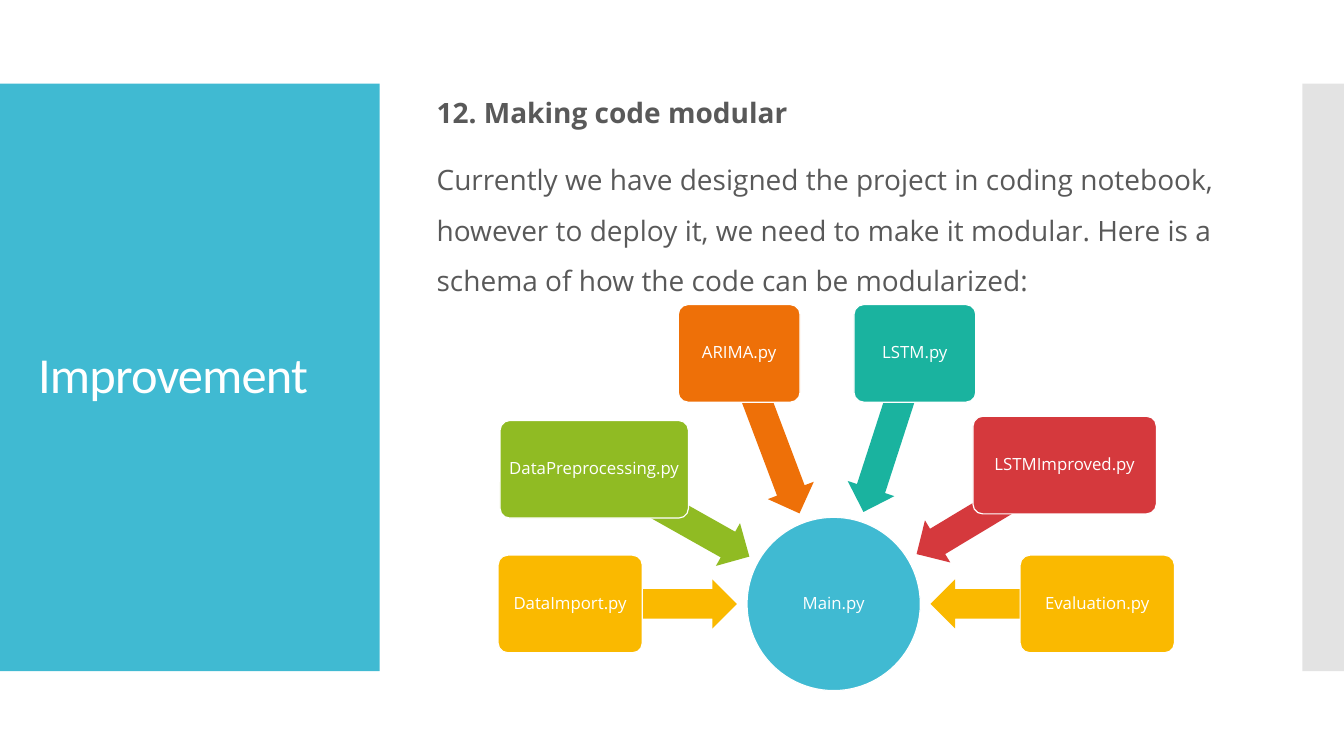
from math import atan2, degrees, hypot

from lxml import etree
from pptx import Presentation
from pptx.dml.color import RGBColor
from pptx.enum.shapes import MSO_SHAPE
from pptx.enum.text import MSO_ANCHOR, MSO_AUTO_SIZE, PP_ALIGN
from pptx.oxml.ns import qn
from pptx.util import Pt

RECT, ROUNDED = MSO_SHAPE.RECTANGLE, MSO_SHAPE.ROUNDED_RECTANGLE
OVAL, ARROW = MSO_SHAPE.OVAL, MSO_SHAPE.LEFT_ARROW
TOP, MIDDLE = MSO_ANCHOR.TOP, MSO_ANCHOR.MIDDLE
LEFT, CENTER = PP_ALIGN.LEFT, PP_ALIGN.CENTER
NO_FIT = MSO_AUTO_SIZE.NONE

WHITE = RGBColor(0xFF, 0xFF, 0xFF)
BLUE = RGBColor(0x40, 0xBA, 0xD2)
GRAY = RGBColor(0xC8, 0xC8, 0xC8)
TEXT = RGBColor(0x59, 0x59, 0x59)
YELLOW = RGBColor(0xFA, 0xB9, 0x00)
GREEN = RGBColor(0x90, 0xBB, 0x23)
ORANGE = RGBColor(0xEE, 0x70, 0x08)
TEAL = RGBColor(0x1A, 0xB3, 0x9F)
RED = RGBColor(0xD5, 0x39, 0x3D)

HEAD_FONT, BODY_FONT = "Calibri", "Open Sans"
MODULE_HEIGHT, ARROW_HEIGHT, ARROW_GAP = 69.7, 35.1, 7.2

# name, colour, centre x and y from the hub's centre, width
MODULES = [
    ("DataImport.py", YELLOW, -188.2, 0, 103),
    ("DataPreprocessing.py", GREEN, -171, -96.2, 134.6),
    ("ARIMA.py", ORANGE, -67.5, -179, 87),
    ("LSTM.py", TEAL, 58, -179, 87),
    ("LSTMImproved.py", RED, 165, -99.2, 131),
    ("Evaluation.py", YELLOW, 188.3, 0, 110.2),
]


def set_attrs(obj, values):
    for name, value in values.items():
        setattr(obj, name, value)


def write(p, text, font, size, color, bold=False, **paragraph):
    """Put one formatted run in a paragraph and return it."""
    set_attrs(p, paragraph)
    r = p.add_run()
    r.text = text
    set_attrs(r.font, {"name": font, "size": Pt(size), "bold": bold})
    r.font.color.rgb = color
    return r


def add_filled(s, kind, box, color, outlined=False):
    sp = s.shapes.add_shape(kind, *map(Pt, box))
    sp.shadow.inherit = False
    sp.fill.solid()
    sp.fill.fore_color.rgb = color
    if outlined:
        sp.line.color.rgb = WHITE
        sp.line.width = Pt(0.85)
    else:
        sp.line.fill.background()
    return sp


def add_node(s, kind, cx, cy, w, h, color, label):
    """Draw a labelled shape around its centre."""
    sp = add_filled(s, kind, (cx - w / 2, cy - h / 2, w, h), color, outlined=True)
    if kind == ROUNDED:
        sp.adjustments[0] = 0.1
    tf = sp.text_frame
    set_attrs(tf, {"margin_left": Pt(2), "margin_right": Pt(2), "margin_top": Pt(2),
                   "margin_bottom": Pt(2), "vertical_anchor": MIDDLE, "word_wrap": True})
    write(tf.paragraphs[0], label, BODY_FONT, 12, WHITE, alignment=CENTER, line_spacing=0.9)


def add_side_panels(s, left, top, width, height):
    """Put the title panel and the pale edge strip behind the title."""
    panel_w, strip_w = 271.2, 29.7
    panel = add_filled(s, RECT, (left, top, panel_w, height), BLUE)
    strip = add_filled(s, RECT, (left + width - strip_w, top, strip_w, height), GRAY)
    color = strip.element.spPr.find(qn("a:solidFill"))[0]
    etree.SubElement(color, qn("a:alpha")).set("val", "50000")
    for sp in (panel, strip):
        s.shapes.title.element.addprevious(sp.element)


def add_title(s, left, top, width, height):
    title = s.shapes.title
    set_attrs(title, {"left": Pt(left), "top": Pt(top), "width": Pt(width), "height": Pt(height)})
    tf = title.text_frame
    set_attrs(tf, {"vertical_anchor": MIDDLE, "word_wrap": True, "auto_size": NO_FIT})
    r = write(tf.paragraphs[0], "Improvement", HEAD_FONT, 36, WHITE,
              alignment=LEFT, line_spacing=0.9)
    r.font._element.set("spc", "-60")


def add_body(s, left, top, width, height):
    tf = s.shapes.add_textbox(*map(Pt, (left, top, width, height))).text_frame
    set_attrs(tf, {"word_wrap": True, "auto_size": NO_FIT, "vertical_anchor": TOP,
                   "margin_top": 0, "margin_bottom": 0})
    write(tf.paragraphs[0], "12. Making code modular", BODY_FONT, 20, TEXT, bold=True,
          line_spacing=0.9)
    write(tf.add_paragraph(),
          "Currently we have designed the project in coding notebook, however to deploy it, "
          "we need to make it modular. Here is a schema of how the code can be modularized:",
          BODY_FONT, 20, TEXT, line_spacing=1.5, space_before=Pt(12))


def add_module_diagram(s, cx, cy, radius):
    """Draw the hub, and modules whose arrows run from their centres to its rim."""
    add_node(s, OVAL, cx, cy, 2 * radius, 2 * radius, BLUE, "Main.py")
    for name, color, dx, dy, w in MODULES:
        distance = hypot(dx, dy)
        tip = radius + ARROW_GAP
        length = distance - tip
        share = (distance + tip) / 2 / distance
        arrow = add_filled(s, ARROW, (cx + dx * share - length / 2,
                                      cy + dy * share - ARROW_HEIGHT / 2,
                                      length, ARROW_HEIGHT), color)
        arrow.adjustments[0], arrow.adjustments[1] = 0.6, 0.5
        arrow.rotation = degrees(atan2(dy, dx)) % 360
        add_node(s, ROUNDED, cx + dx, cy + dy, w, MODULE_HEIGHT, color, name)


def main():
    prs = Presentation()
    prs.slide_width, prs.slide_height = Pt(960), Pt(540)
    s = prs.slides.add_slide(prs.slide_layouts[5])
    add_side_panels(s, 0, 59.8, 960, 419.6)
    add_title(s, 20, 88.6, 231.8, 362.2)
    add_body(s, 304.8, 70.6, 576, 150)
    add_module_diagram(s, 595.5, 431.4, 61.9)
    prs.save("out.pptx")


if __name__ == "__main__":
    main()
